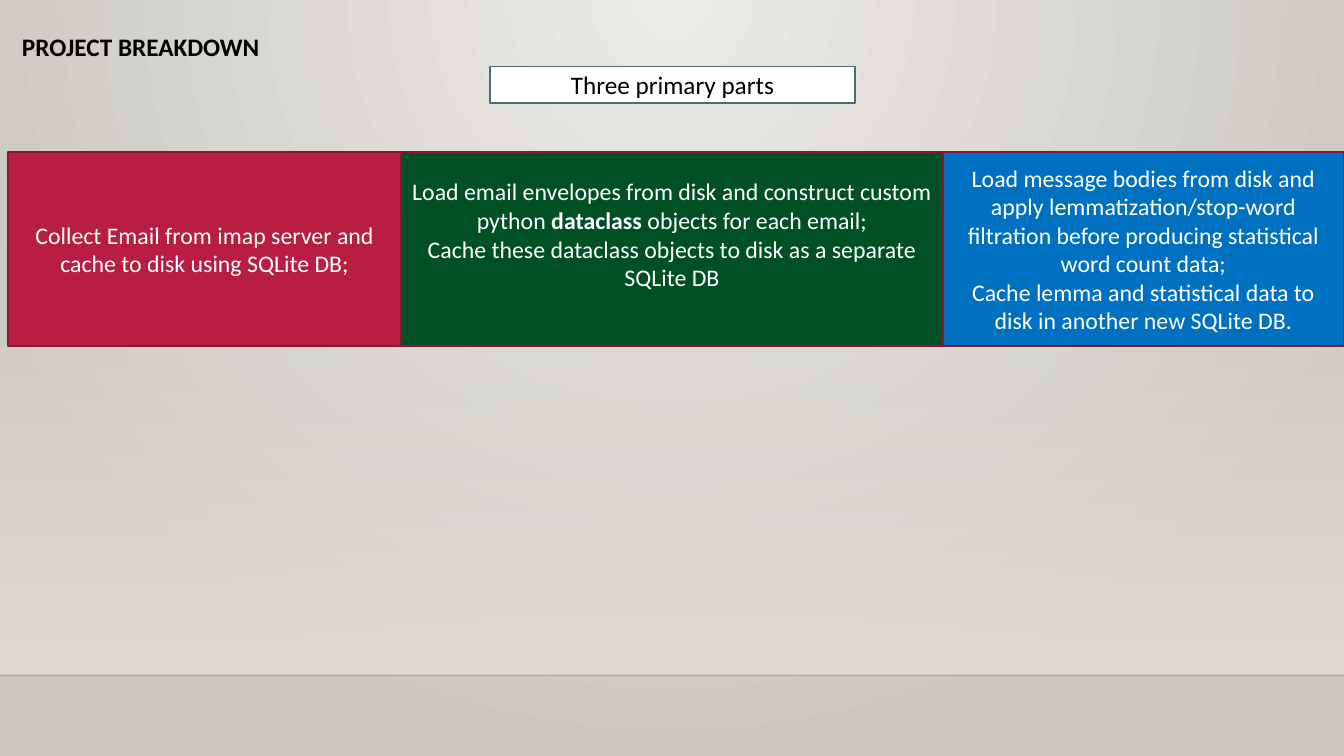
from lxml.etree import SubElement
from pptx import Presentation
from pptx.dml.color import RGBColor
from pptx.enum.shapes import MSO_CONNECTOR, MSO_SHAPE
from pptx.enum.text import MSO_ANCHOR, PP_ALIGN
from pptx.oxml.ns import qn
from pptx.util import Inches, Pt

WIDTH, HEIGHT = 13.33, 7.5
FLOOR_TOP, FLOOR_EDGE = 2.21, 6.7
PARTS_LEFT, PARTS_TOP, PARTS_HEIGHT = 0.08, 1.51, 1.92
PARTS = [
    (3.9, "B71E42", 0.05, [
        [("Collect Email from imap server and cache to disk using SQLite DB;", False)],
    ]),
    (5.37, "005024", 0.34, [
        [("Load email envelopes from disk and construct custom python ", False),
         ("dataclass", True),
         (" objects for each email;", False)],
        [("Cache these dataclass objects to disk as a separate SQLite DB", False)],
    ]),
    (3.98, "0070C0", 0.05, [
        [("Load message bodies from disk and apply lemmatization/stop-word "
          "filtration before producing statistical word count data;", False)],
        [("Cache lemma and statistical data to disk in another new SQLite DB.", False)],
    ]),
]


def rgb(value):
    return RGBColor.from_string(value)


def set_alpha(fill_properties, percents):
    for color, percent in zip(fill_properties.iter(qn("a:srgbClr")), percents):
        SubElement(color, qn("a:alpha")).set("val", str(percent * 1000))


def set_gradient(fill, start, end):
    fill.gradient()
    for stop, color, position in zip(fill.gradient_stops, (start, end), (0, 1)):
        stop.color.rgb = rgb(color)
        stop.position = position


def paint_background(slide):
    set_gradient(slide.background.fill, "ECEAE7", "CAC7C1")
    gradient = next(slide.element.iter(qn("a:gradFill")))
    gradient.remove(gradient.find(qn("a:lin")))
    circle = SubElement(gradient, qn("a:path"), {"path": "circle"})
    SubElement(circle, qn("a:fillToRect"),
               {"l": "43000", "t": "0", "r": "43000", "b": "100000"})


def add_floor(slide):
    glow = slide.shapes.add_shape(
        MSO_SHAPE.RECTANGLE, Inches(0), Inches(FLOOR_TOP),
        Inches(WIDTH), Inches(FLOOR_EDGE - FLOOR_TOP))
    glow.shadow.inherit = False
    glow.line.fill.background()
    set_gradient(glow.fill, "DFDBD5", "DFDBD5")
    glow.fill.gradient_angle = 270
    set_alpha(glow.element.spPr, (0, 100))

    edge = slide.shapes.add_connector(
        MSO_CONNECTOR.STRAIGHT, Inches(0), Inches(FLOOR_EDGE),
        Inches(WIDTH), Inches(FLOOR_EDGE))
    edge.line.color.rgb = rgb("000001")
    edge.line.width = Pt(1)
    set_alpha(edge.element.spPr, (20,))
    SubElement(edge.element.spPr, qn("a:effectLst"))


def write(frame, paragraphs, size, color, align):
    frame.word_wrap = True
    for index, runs in enumerate(paragraphs):
        paragraph = frame.add_paragraph() if index else frame.paragraphs[0]
        paragraph.alignment = align
        for text, bold in runs:
            run = paragraph.add_run()
            run.text = text
            run.font.name = "Calibri"
            run.font.size = Pt(size)
            run.font.bold = bold
            run.font.color.rgb = rgb(color)


def add_title(slide, text):
    title = slide.shapes.add_textbox(
        Inches(0.12), Inches(0.3), Inches(3.36), Inches(0.36))
    write(title.text_frame, [[(text, True)]], 18, "000000", PP_ALIGN.LEFT)
    title.text_frame.paragraphs[0].line_spacing = 0.9


def add_box(slide, bounds, fill, outline, paragraphs, size, color, bottom=0.05):
    box = slide.shapes.add_shape(MSO_SHAPE.RECTANGLE, *map(Inches, bounds))
    box.shadow.inherit = False
    box.fill.solid()
    box.fill.fore_color.rgb = rgb(fill)
    box.line.color.rgb = rgb(outline)
    box.line.width = Pt(1.25)
    box.text_frame.vertical_anchor = MSO_ANCHOR.MIDDLE
    box.text_frame.margin_bottom = Inches(bottom)
    write(box.text_frame, paragraphs, size, color, PP_ALIGN.CENTER)


def main():
    deck = Presentation()
    deck.slide_width, deck.slide_height = Inches(WIDTH), Inches(HEIGHT)
    slide = deck.slides.add_slide(deck.slide_layouts[6])
    paint_background(slide)
    add_floor(slide)
    add_title(slide, "PROJECT BREAKDOWN")
    add_box(slide, (4.86, 0.66, 3.62, 0.36), "FFFFFF", "4D6C76",
            [[("Three primary parts", False)]], 18, "000000")
    left = PARTS_LEFT
    for width, fill, bottom, paragraphs in PARTS:
        add_box(slide, (left, PARTS_TOP, width, PARTS_HEIGHT), fill, "871631",
                paragraphs, 17, "FFFFFF", bottom)
        left += width
    deck.save("out.pptx")


if __name__ == "__main__":
    main()
